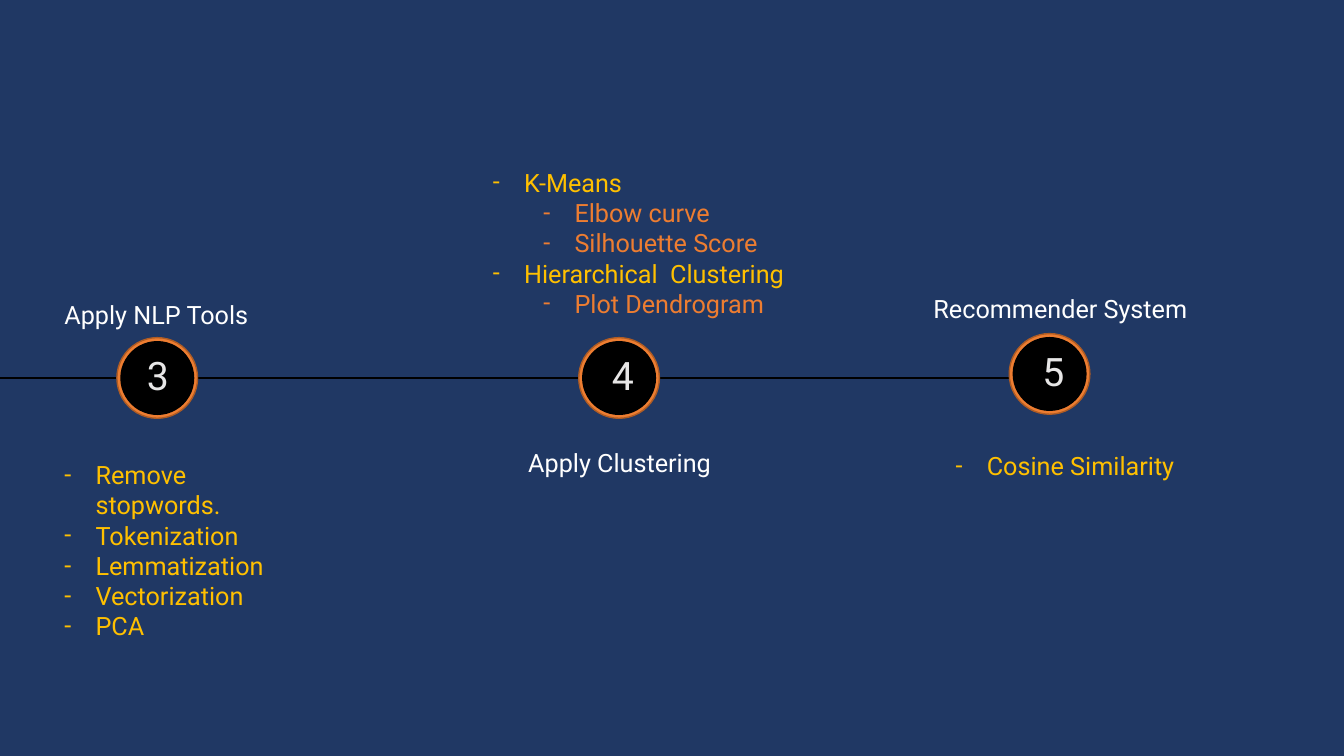
from lxml.etree import SubElement
from pptx import Presentation
from pptx.dml.color import RGBColor
from pptx.enum.shapes import MSO_CONNECTOR, MSO_SHAPE
from pptx.enum.text import MSO_AUTO_SIZE
from pptx.oxml.ns import qn
from pptx.util import Inches, Pt

COLORS = {
    "background": "203864",
    "black": "000000",
    "ring": "ED7D31",
    "ring_edge": "AF5C24",
    "number": "E7E6E6",
    "title": "FFFFFF",
    "item": "FFC000",
    "subitem": "ED7D31",
}
FONT = "Roboto"
RING_SIZE = 0.8
DISC_SIZE = 0.72


def color(name):
    return RGBColor.from_string(COLORS[name])


def add_timeline(page):
    line = page.shapes.add_connector(
        MSO_CONNECTOR.STRAIGHT, Inches(-0.03), Inches(3.75), Inches(10.24), Inches(3.75)
    )
    line.line.color.rgb = color("black")
    line.line.width = Pt(1.25)
    SubElement(line._element.spPr, qn("a:effectLst"))


def add_circle(page, left, top, size, fill, edge):
    circle = page.shapes.add_shape(
        MSO_SHAPE.OVAL, Inches(left), Inches(top), Inches(size), Inches(size)
    )
    circle.shadow.inherit = False
    circle.fill.solid()
    circle.fill.fore_color.rgb = color(fill)
    circle.line.color.rgb = color(edge)
    circle.line.width = Pt(1)


def add_text_box(page, left, top, width, height):
    box = page.shapes.add_textbox(Inches(left), Inches(top), Inches(width), Inches(height))
    box.text_frame.word_wrap = True
    box.text_frame.auto_size = MSO_AUTO_SIZE.SHAPE_TO_FIT_TEXT
    return box.text_frame


def add_span(para, text, size, color_name):
    span = para.add_run()
    span.text = text
    span.font.name = FONT
    span.font.size = Pt(size)
    span.font.color.rgb = color(color_name)


def add_label(page, text, left, top, width, height=0.4, size=18, color_name="title"):
    frame = add_text_box(page, left, top, width, height)
    add_span(frame.paragraphs[0], text, size, color_name)


def add_step(page, number, left, top, number_offset):
    inset = (RING_SIZE - DISC_SIZE) / 2
    add_circle(page, left, top, RING_SIZE, "ring", "ring_edge")
    add_circle(page, left + inset, top + inset, DISC_SIZE, "black", "black")
    add_label(page, number, left + number_offset, top + 0.09, 0.64, 0.57, 28, "number")


def set_dash_bullet(para, level):
    para.level = level
    properties = para._p.get_or_add_pPr()
    properties.set("marL", str(Inches(0.31 + 0.5 * level)))
    properties.set("indent", str(Inches(-0.31)))
    SubElement(properties, qn("a:buFont"), typeface=FONT)
    SubElement(properties, qn("a:buChar"), char="-")


def add_dash_list(page, items, left, top, width, height):
    frame = add_text_box(page, left, top, width, height)
    for index, (level, text) in enumerate(items):
        para = frame.add_paragraph() if index else frame.paragraphs[0]
        set_dash_bullet(para, level)
        add_span(para, text, 18, "subitem" if level else "item")


def main():
    deck = Presentation()
    deck.slide_width = Inches(13.33)
    deck.slide_height = Inches(7.5)
    page = deck.slides.add_slide(deck.slide_layouts[6])
    page.background.fill.solid()
    page.background.fill.fore_color.rgb = color("background")

    add_timeline(page)
    add_step(page, "3", 1.16, 3.35, 0.2)
    add_step(page, "4", 5.74, 3.35, 0.23)
    add_step(page, "5", 10.01, 3.31, 0.23)

    add_label(page, "Apply NLP Tools", 0.54, 2.92, 2.29)
    add_label(page, "Apply Clustering", 5.14, 4.39, 2.29)
    add_label(page, "Recommender System", 9.16, 2.86, 3.08)

    tools = ["Remove stopwords.", "Tokenization", "Lemmatization", "Vectorization", "PCA"]
    add_dash_list(page, [(0, tool) for tool in tools], 0.54, 4.51, 2.37, 2.22)
    clustering = [
        (0, "K-Means"),
        (1, "Elbow curve"),
        (1, "Silhouette Score"),
        (0, "Hierarchical  Clustering"),
        (1, "Plot Dendrogram"),
    ]
    add_dash_list(page, clustering, 4.79, 1.61, 3.27, 1.92)
    add_dash_list(page, [(0, "Cosine Similarity")], 9.38, 4.42, 2.7, 0.71)

    deck.save("out.pptx")


if __name__ == "__main__":
    main()
